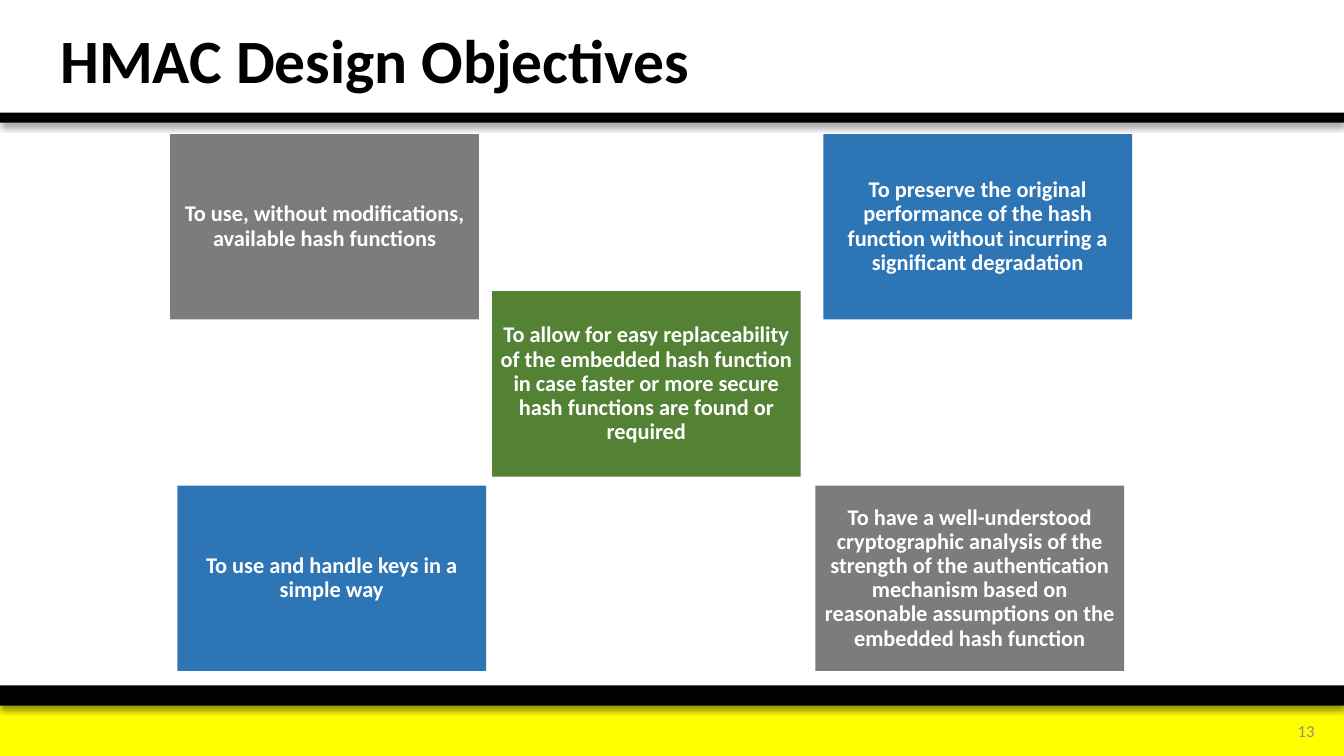
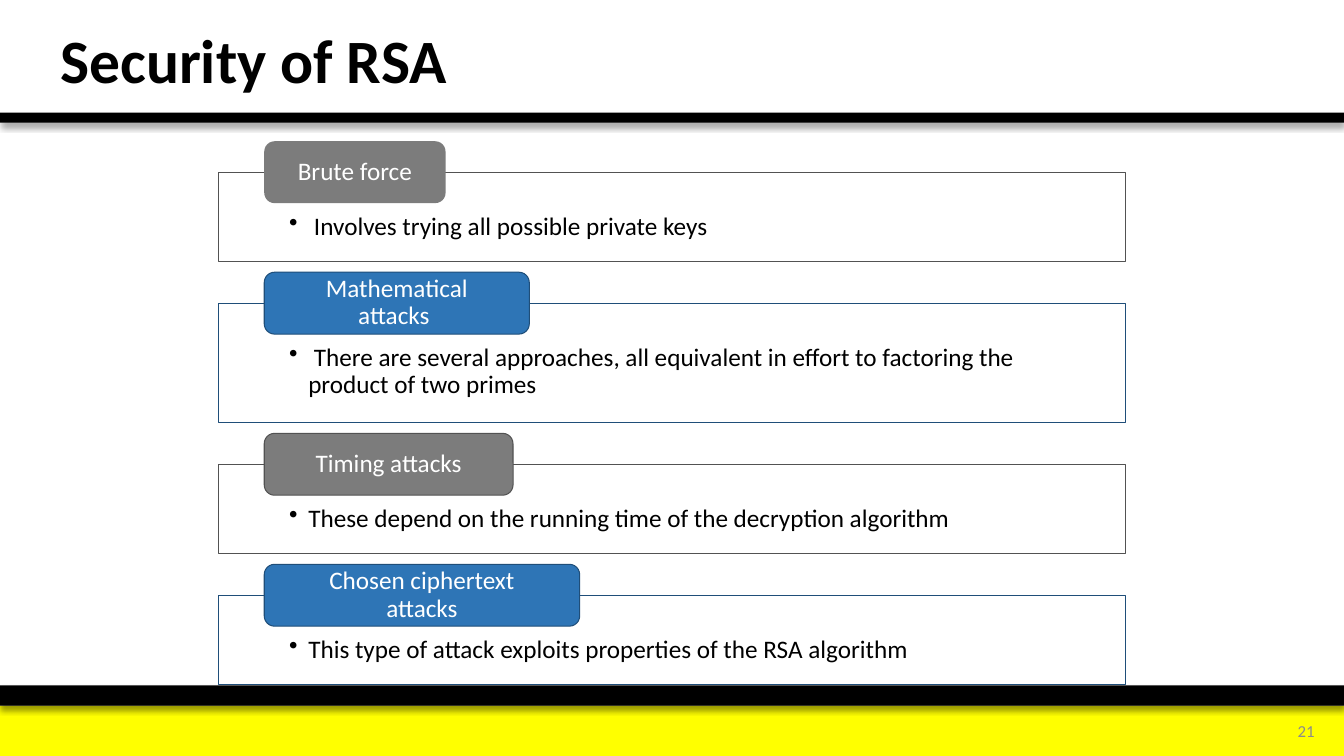
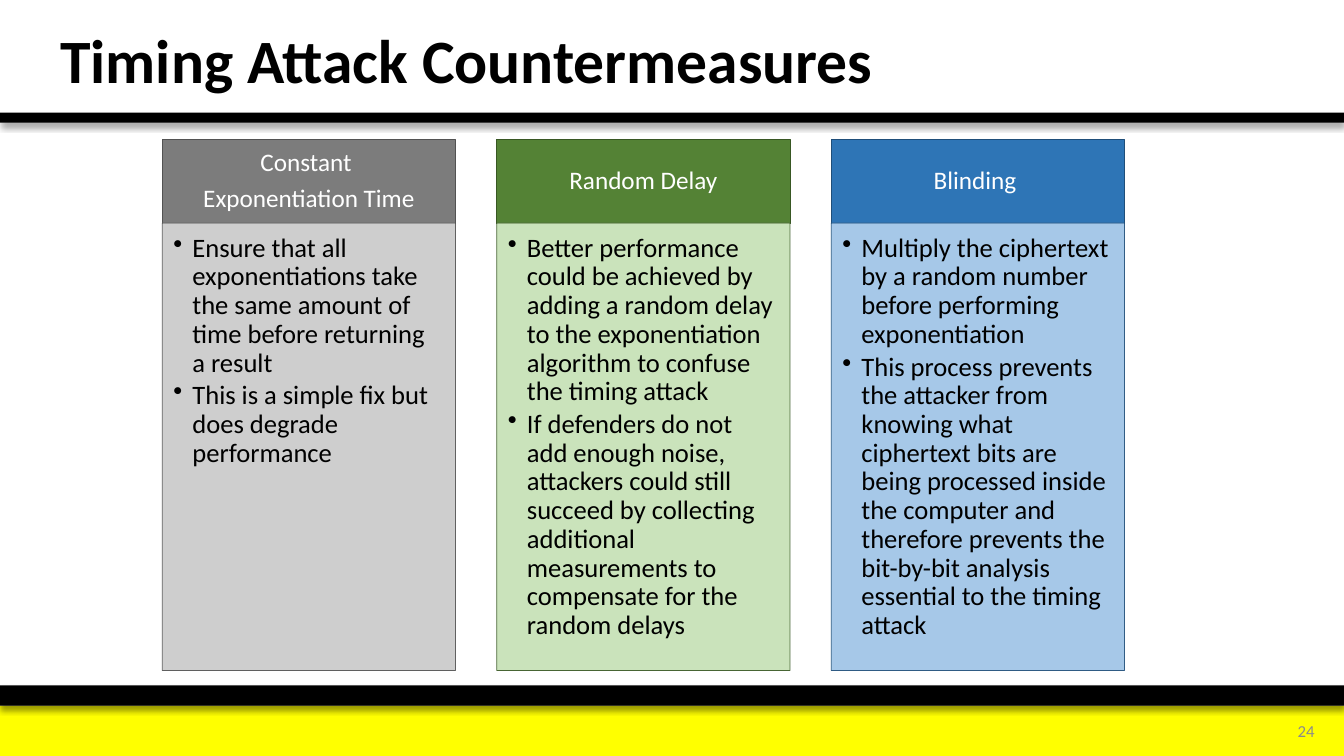
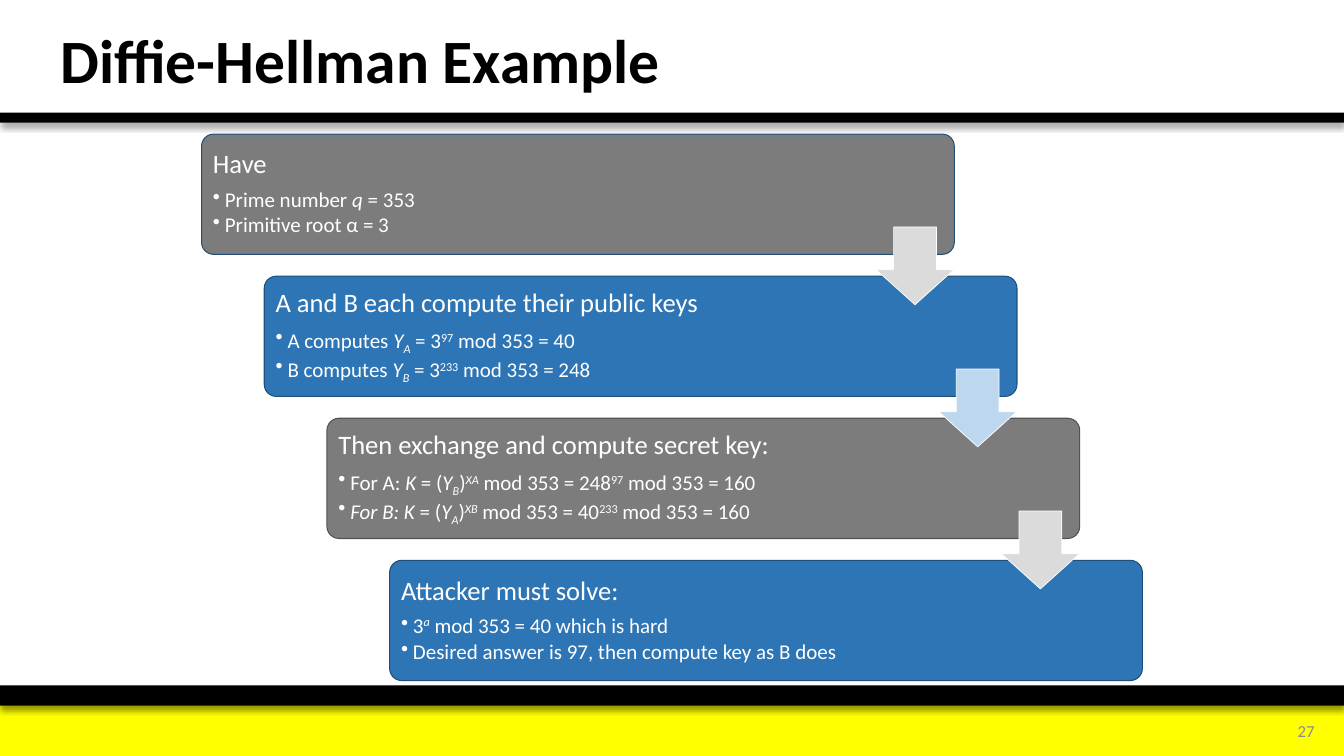
"""Build four slides on hashes, keys and attacks."""
from lxml import etree
from pptx import Presentation
from pptx import util as u
from pptx.dml.color import RGBColor
from pptx.enum import shapes, text
from pptx.oxml.ns import qn

BLACK = RGBColor(0x00, 0x00, 0x00)
WHITE = RGBColor(0xFF, 0xFF, 0xFF)
YELLOW = RGBColor(0xFF, 0xFF, 0x00)
SMOKE = RGBColor(0x8C, 0x8C, 0x8C)
GRAY = RGBColor(0x7C, 0x7C, 0x7C)
BLUE = RGBColor(0x2E, 0x75, 0xB6)
GREEN = RGBColor(0x54, 0x82, 0x35)
DARK_GRAY = RGBColor(0x52, 0x52, 0x52)
DARK_BLUE = RGBColor(0x1F, 0x4E, 0x79)
DARK_GREEN = RGBColor(0x38, 0x57, 0x23)
PALE_GRAY = RGBColor(0xC9, 0xC9, 0xC9)
PALE_BLUE = RGBColor(0x9D, 0xC3, 0xE6)
PALE_GREEN = RGBColor(0xC5, 0xE0, 0xB4)
ARROW_GRAY = RGBColor(0xDB, 0xDB, 0xDB)
ARROW_BLUE = RGBColor(0xBD, 0xD7, 0xEE)

FONT = "Calibri"
WIDE, HIGH = 33.87, 19.05
KIND = shapes.MSO_SHAPE
LEFT, MID, RIGHT = text.PP_ALIGN.LEFT, text.PP_ALIGN.CENTER, text.PP_ALIGN.RIGHT
TOP, HALF = text.MSO_ANCHOR.TOP, text.MSO_ANCHOR.MIDDLE
SHIFT = {"^": "30000", "_": "-25000"}


def draw(page, kind, area, fill, line=None, width=0.5):
    """Add a flat shape in an area given in centimetres."""
    shape = page.shapes.add_shape(kind, *map(u.Cm, area))
    shape.shadow.inherit = False
    shape.fill.solid()
    shape.fill.fore_color.rgb = fill
    if line is None:
        shape.line.fill.background()
    else:
        shape.line.color.rgb = line
        shape.line.width = u.Pt(width)
    return shape


def fade(shape):
    """Make fill and line of a shape ten per cent transparent."""
    for tone in shape._element.spPr.iter(qn("a:srgbClr")):
        etree.SubElement(tone, qn("a:alpha"), val="90000")


def cast(shape):
    """Give a shape a soft shadow below it."""
    glow = etree.SubElement(
        shape._element.spPr.find(qn("a:effectLst")), qn("a:outerShdw"),
        blurRad=str(u.Pt(4)), dist=str(u.Pt(3)), dir="5400000",
        algn="t", rotWithShape="0")
    tone = etree.SubElement(glow, qn("a:srgbClr"), val="000000")
    etree.SubElement(tone, qn("a:alpha"), val="40000")


def setup(shape, pads, anchor=HALF):
    """Prepare the text frame of a shape with left, top, right, bottom pads."""
    frame = shape.text_frame
    frame.word_wrap = True
    frame.vertical_anchor = anchor
    (frame.margin_left, frame.margin_top,
     frame.margin_right, frame.margin_bottom) = map(u.Cm, pads)
    return frame


def write(frame, runs, size, tone, align=LEFT, bold=False, hang=0):
    """Add a paragraph of (words, marks) runs, bulleted if it hangs."""
    para = frame.paragraphs[0]
    if para.runs:
        para = frame.add_paragraph()
    para.alignment = align
    para.line_spacing = 0.9
    para.space_after = u.Pt(round(size * (0.15 if hang else 0.35), 1))
    if hang:
        para.level = 1
        props = para._p.get_or_add_pPr()
        props.set("marL", str(u.Cm(hang)))
        props.set("indent", str(-u.Cm(hang)))
        etree.SubElement(props, qn("a:buChar"), char="•")
    for words, marks in [(runs, "")] if isinstance(runs, str) else runs:
        run = para.add_run()
        run.text = words
        font = run.font
        font.name, font.size, font.bold = FONT, u.Pt(size), bold
        font.italic = "i" in marks
        font.color.rgb = tone
        for mark in SHIFT.keys() & set(marks):
            run._r.get_or_add_rPr().set("baseline", SHIFT[mark])


def start(deck, title, number):
    """Add a slide with its bands, title and number."""
    page = deck.slides.add_slide(deck.slide_layouts[6])
    draw(page, KIND.RECTANGLE, (0, 17.78, WIDE, 1.27), YELLOW)
    for top, high in ((17.27, 0.51), (2.84, 0.25)):
        cast(draw(page, KIND.RECTANGLE, (0, top, WIDE, high), BLACK))
    for area, words, size, tone, align, bold in (
            ((31.45, 17.93, 1.93, 1.02), str(number), 12, SMOKE, RIGHT, False),
            ((1.27, 0.18, 22.86, 2.84), title, 44, BLACK, LEFT, True)):
        label = page.shapes.add_textbox(*map(u.Cm, area))
        frame = setup(label, (0.25, 0.13, 0.25, 0.13))
        write(frame, words, size, tone, align, bold)
    return page


def tile(page, left, top, fill, words):
    """Place one objective."""
    shape = draw(page, KIND.RECTANGLE, (left, top, 7.78, 4.67), fill)
    write(setup(shape, (0.18,) * 4), words, 16, WHITE, MID, True)


def panel(page, left, top, high, wide, fill, line, edge, name, words):
    """Place one attack: a framed remark with a tag on its upper edge."""
    shape = draw(page, KIND.RECTANGLE, (left, top, 22.86, high), WHITE, line)
    write(setup(shape, (1.78, 1.04, 1.78, 0.36), TOP), words, 18, BLACK, hang=0.48)
    tag = draw(page, KIND.ROUNDED_RECTANGLE,
               (left + 1.15, top - 0.78, wide, 1.56), fill, edge, 0.75)
    write(setup(tag, (0.61, 0, 0.61, 0)), name, 18, WHITE, MID)


def column(page, left, top, tones, heads, items):
    """Place one countermeasure: a heading over a list."""
    fill, line, pale = tones
    wide, high = 7.39, 2.11
    head = draw(page, KIND.RECTANGLE, (left, top, wide, high), fill, line)
    frame = setup(head, (0.36, 0.2, 0.36, 0.2))
    for words in heads:
        write(frame, words, 18, WHITE, MID)
    body = draw(page, KIND.RECTANGLE, (left, top + high, wide, 11.28), pale, line)
    fade(body)
    frame = setup(body, (0.28, 0.28, 0.38, 0.43), TOP)
    for words in items:
        write(frame, words, 19, BLACK, hang=0.48)


def step(page, left, top, fill, line, head, items):
    """Place one stage of the key exchange."""
    shape = draw(page, KIND.ROUNDED_RECTANGLE, (left, top, 18.97, 3.03), fill, line, 0.75)
    shape.adjustments[0] = 0.1
    frame = setup(shape, (0.2,) * 4)
    write(frame, head, 19, WHITE)
    for runs in items:
        write(frame, runs, 15, WHITE, hang=0.3)


def arrow(page, left, top, fill):
    """Place an arrow that leads from the stage at this corner to the next."""
    shape = draw(page, KIND.DOWN_ARROW, (left + 17, top + 2.34, 1.96, 1.96), fill, WHITE)
    shape.adjustments[0] = 0.55
    shape.adjustments[1] = 0.45


def goals(deck):
    """Build the slide of design objectives."""
    page = start(deck, "HMAC Design Objectives", 13)
    for part in (
            (4.29, 3.38, GRAY, "To use, without modifications, available hash functions"),
            (12.4, 7.34, GREEN, "To allow for easy replaceability of the embedded hash "
             "function in case faster or more secure hash functions are found or required"),
            (20.75, 3.38, BLUE, "To preserve the original performance of the hash "
             "function without incurring a significant degradation"),
            (4.47, 12.24, BLUE, "To use and handle keys in a simple way"),
            (20.55, 12.24, GRAY, "To have a well-understood cryptographic analysis of the "
             "strength of the authentication mechanism based on reasonable assumptions "
             "on the embedded hash function")):
        tile(page, *part)


def threats(deck):
    """Build the slide of attacks, stacked with equal gaps."""
    page = start(deck, "Security of RSA", 21)
    top = 4.34
    for high, *part in (
            (2.24, 4.57, GRAY, DARK_GRAY, None, "Brute force",
             " Involves trying all possible private keys"),
            (3, 6.68, BLUE, DARK_BLUE, DARK_BLUE, "Mathematical attacks ",
             " There are several approaches, all equivalent in effort to factoring "
             "the product of two primes"),
            (2.24, 6.27, GRAY, DARK_GRAY, DARK_GRAY, "Timing attacks",
             "These depend on the running time of the decryption algorithm"),
            (2.24, 7.95, BLUE, DARK_BLUE, DARK_BLUE, "Chosen ciphertext attacks",
             "This type of attack exploits properties of the RSA algorithm")):
        panel(page, 5.51, top, high, *part)
        top += high + 1.06


def cures(deck):
    """Build the slide of countermeasures in three columns."""
    page = start(deck, "Timing Attack Countermeasures", 24)
    for spot, part in enumerate((
            ((GRAY, DARK_GRAY, PALE_GRAY), ("Constant ", "Exponentiation Time"),
             ("Ensure that all exponentiations take the same amount of time before "
              "returning a result",
              "This is a simple fix but does degrade performance")),
            ((GREEN, DARK_GREEN, PALE_GREEN), ("Random Delay",),
             ("Better performance could be achieved by adding a random delay to the "
              "exponentiation algorithm to confuse the timing attack",
              "If defenders do not add enough noise, attackers could still succeed by "
              "collecting additional measurements to compensate for the random delays")),
            ((BLUE, DARK_BLUE, PALE_BLUE), ("Blinding ",),
             ("Multiply the ciphertext by a random number before performing "
              "exponentiation",
              "This process prevents the attacker from knowing what ciphertext bits are "
              "being processed inside the computer and therefore prevents the bit-by-bit "
              "analysis essential to the timing attack")))):
        column(page, 4.09 + 8.43 * spot, 3.51, *part)


def public(name, power, result):
    """Return the runs of one public key."""
    return ((f"{name} computes ", ""), ("Y", "i"), (name, "i_"), (" = 3", ""),
            (power, "^"), (f" mod 353 = {result}", ""))


def secret(lead, peer, root, base, power):
    """Return the runs of one secret key after its lead."""
    return (*lead, (" = (", ""), ("Y", "i"), (peer, "i_"), (")", ""), (root, "i^"),
            (f" mod 353 = {base}", ""), (power, "^"), (" mod 353 = 160", ""))


def swap(deck):
    """Build the slide of the key exchange as a staircase."""
    page = start(deck, "Diffie-Hellman Example", 27)
    spots = [(5.08 + 1.58 * n, 3.38 + 3.58 * n) for n in range(4)]
    stages = (
        (GRAY, DARK_BLUE, "Have",
         ((("Prime number ", ""), ("q", "i"), (" = 353", "")), "Primitive root α = 3")),
        (BLUE, DARK_BLUE, "A and B each compute their public keys",
         (public("A", "97", 40), public("B", "233", 248))),
        (GRAY, DARK_GRAY, "Then exchange and compute secret key:",
         (secret((("For A: ", ""), ("K", "i")), "B", "XA", 248, "97"),
          secret((("For B: K", "i"),), "A", "XB", 40, "233"))),
        (BLUE, DARK_BLUE, "Attacker must solve:",
         ((("3", ""), ("a", "i^"), (" mod 353 = 40 which is hard", "")),
          "Desired answer is 97, then compute key as B does")))
    for spot, stage in zip(spots, stages):
        step(page, *spot, *stage)
    for spot, fill in zip(spots, (ARROW_GRAY, ARROW_BLUE, ARROW_GRAY)):
        arrow(page, *spot, fill)


def main():
    """Build and save the deck."""
    deck = Presentation()
    deck.slide_width, deck.slide_height = u.Cm(WIDE), u.Cm(HIGH)
    for build in (goals, threats, cures, swap):
        build(deck)
    deck.save("out.pptx")


if __name__ == "__main__":
    main()
